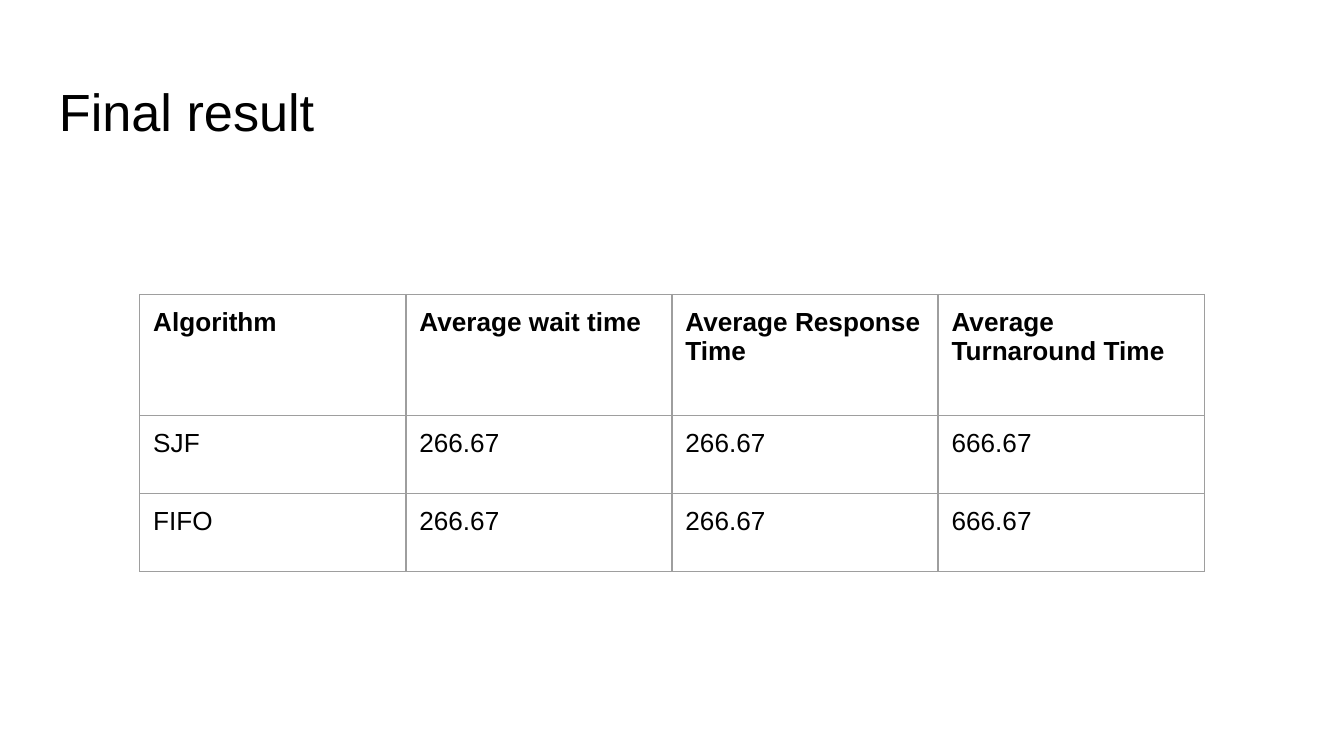
from lxml import etree
from pptx import Presentation, util as u
from pptx.dml.color import RGBColor
from pptx.oxml.ns import qn

WIDE = u.Inches(10)
HIGH = WIDE * 9 // 16
INK, GRID, PAPER = "000000", "9E9E9E", "FFFFFF"
PAD = u.Inches(0.1)
ROWS = [
    ["Algorithm", "Average wait time", "Average Response Time", "Average Turnaround Time"],
    ["SJF", "266.67", "266.67", "666.67"],
    ["FIFO", "266.67", "266.67", "666.67"],
]
SHARES = [0.9, 0.58, 0.58]


def tint(code):
    return RGBColor.from_string(code)


def pad(item):
    item.margin_left = item.margin_right = PAD
    item.margin_top = item.margin_bottom = PAD


def write(frame, words, size, bold=False):
    run = frame.paragraphs[0].add_run()
    run.text = words
    font = run.font
    font.name, font.size, font.bold = "Arial", u.Pt(size), bold
    font.color.rgb = tint(INK)


def edge(cell):
    props = cell._tc.get_or_add_tcPr()
    for spot, side in enumerate(("a:lnL", "a:lnR", "a:lnT", "a:lnB")):
        line = etree.Element(qn(side), w=str(u.Pt(0.75)))
        fill = etree.SubElement(line, qn("a:solidFill"))
        etree.SubElement(fill, qn("a:srgbClr"), val=GRID)
        props.insert(spot, line)


def title(slide, box, words):
    frame = slide.shapes.add_textbox(*box).text_frame
    frame.word_wrap = True
    pad(frame)
    write(frame, words, 28)


def table(slide, box, rows, shares):
    grid = slide.shapes.add_table(len(rows), len(rows[0]), *box).table
    grid.horz_banding = False
    for col in grid.columns:
        col.width = int(box[2] / len(rows[0]))
    for r, words in enumerate(rows):
        grid.rows[r].height = int(box[3] * shares[r] / sum(shares))
        for c, word in enumerate(words):
            cell = grid.cell(r, c)
            pad(cell)
            cell.fill.solid()
            cell.fill.fore_color.rgb = tint(PAPER)
            edge(cell)
            write(cell.text_frame, word, 14, r == 0)


def main():
    deck = Presentation()
    deck.slide_width, deck.slide_height = WIDE, HIGH
    slide = deck.slides.add_slide(deck.slide_layouts[6])
    title(slide, [u.Inches(n) for n in (0.34, 0.49, 9.32, 0.63)], "Final result")
    table(slide, [u.Inches(n) for n in (1.04, 2.19, 7.92, 2.06)], ROWS, SHARES)
    deck.save("out.pptx")


if __name__ == "__main__":
    main()
